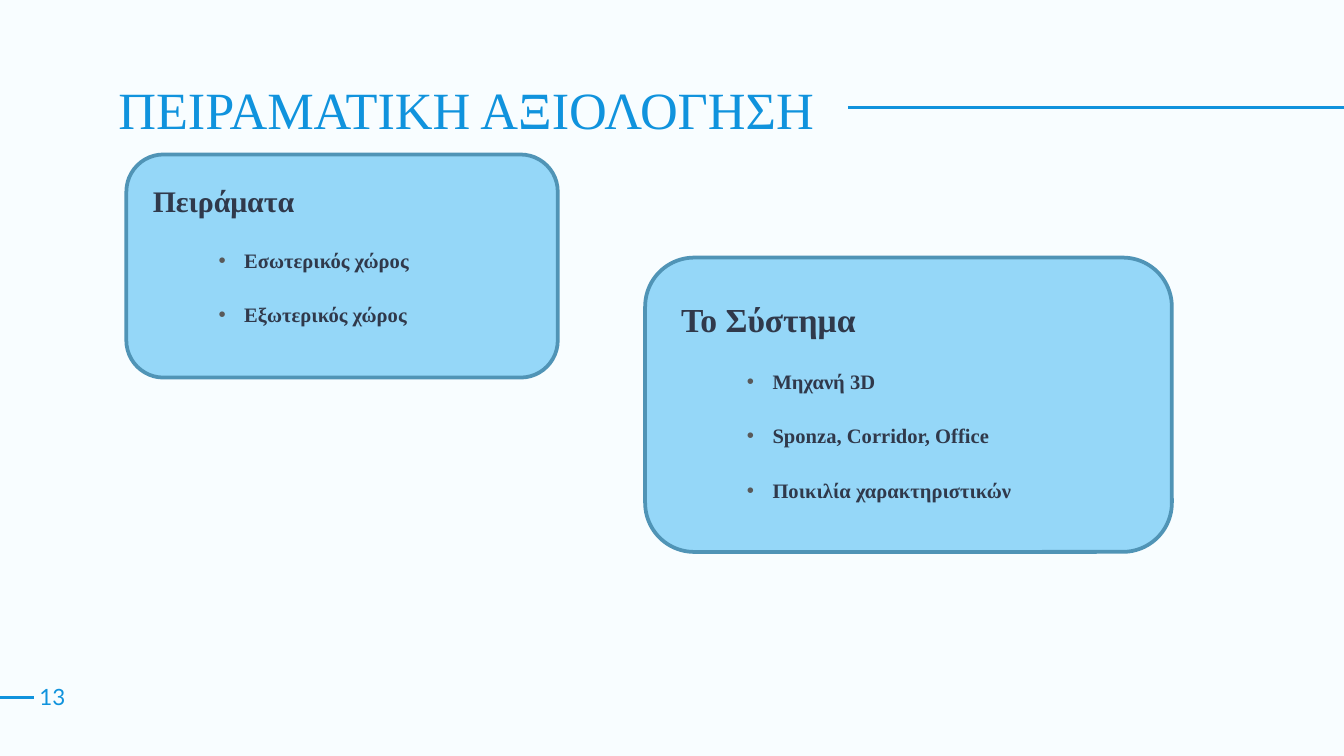
from dataclasses import dataclass

from lxml import etree
from pptx import Presentation
from pptx.dml.color import RGBColor as Rgb
from pptx.enum import shapes, text
from pptx.oxml import ns
from pptx.util import Pt


@dataclass(frozen=True)
class Theme:
    back: Rgb = Rgb.from_string("F8FDFF")
    blue: Rgb = Rgb.from_string("1093DD")
    card: Rgb = Rgb.from_string("6CC8F6")
    edge: Rgb = Rgb.from_string("5094B6")
    ink: Rgb = Rgb.from_string("30394B")
    dot: str = "595959"
    serif: str = "Times New Roman"
    sans: str = "Lato"
    title: int = 28
    item: int = 11
    page: int = 12


theme = Theme()


def write(para, words, size, color, face=theme.serif, bold=False):
    """Add one styled run to a paragraph."""
    run = para.add_run()
    run.text = words
    run.font.size = Pt(size)
    run.font.name = face
    run.font.bold = bold
    run.font.color.rgb = color


def setup(frame, side=7.2):
    """Centre a text frame vertically and set its margins."""
    frame.word_wrap = True
    frame.auto_size = text.MSO_AUTO_SIZE.NONE
    frame.vertical_anchor = text.MSO_ANCHOR.MIDDLE
    frame.margin_left = frame.margin_right = Pt(side)
    frame.margin_top = frame.margin_bottom = Pt(7.2)


deck = Presentation()
deck.slide_width, deck.slide_height = Pt(720), Pt(405)
slide = deck.slides.add_slide(deck.slide_layouts[5])
slide.background.fill.solid()
slide.background.fill.fore_color.rgb = theme.back

# Title
title = slide.shapes.title
title.left, title.top, title.width, title.height = Pt(56.2), Pt(35.3), Pt(607.7), Pt(45.4)
setup(title.text_frame)
para = title.text_frame.paragraphs[0]
para.alignment = text.PP_ALIGN.LEFT
write(para, "ΠΕΙΡΑΜΑΤΙΚΗ ΑΞΙΟΛΟΓΗΣΗ", theme.title, theme.blue)

# Rules beside the page number and the title
for start, end, y in [(0, 18, 373.5), (454.3, 720, 57.5)]:
    rule = slide.shapes.add_connector(
        shapes.MSO_CONNECTOR.STRAIGHT, Pt(start), Pt(y), Pt(end), Pt(y))
    rule.line.color.rgb = theme.blue
    rule.line.width = Pt(1.5)
    etree.SubElement(rule._element.spPr, ns.qn("a:effectLst"))

# Page number
page = slide.shapes.add_textbox(Pt(18.7), Pt(365), Pt(18.7), Pt(16.6)).text_frame
setup(page, 0)
para = page.paragraphs[0]
para.alignment = text.PP_ALIGN.CENTER
write(para, "13", theme.page, theme.blue, theme.sans)

# Cards: frame, text area, heading, heading size, items
cards = [
    ((67.7, 82.8, 231.1, 119.5), (62.6, 82.8, 285.1, 107.3), "Πειράματα", 16,
     ["Εσωτερικός χώρος", "Εξωτερικός χώρος"]),
    ((345.6, 138, 282.2, 157.7), (345.6, 144.7, 305.3, 139.7), "Το Σύστημα", 18,
     ["Μηχανή 3D", "Sponza, Corridor, Office", "Ποικιλία χαρακτηριστικών"]),
]
for area, inner, head, size, items in cards:
    card = slide.shapes.add_shape(shapes.MSO_SHAPE.ROUNDED_RECTANGLE, *map(Pt, area))
    card.shadow.inherit = False
    card.fill.solid()
    card.fill.fore_color.rgb = theme.card
    tint = card._element.spPr.find(ns.qn("a:solidFill"))[0]
    etree.SubElement(tint, ns.qn("a:alpha"), val="70000")
    card.line.color.rgb = theme.edge
    card.line.width = Pt(2)

    frame = slide.shapes.add_textbox(*map(Pt, inner)).text_frame
    setup(frame)
    para = frame.paragraphs[0]
    para._p.get_or_add_pPr().set("marL", str(Pt(12.2)))
    write(para, head, size, theme.ink, bold=True)
    for item in items:
        para = frame.add_paragraph()
        para.level = 1
        para.space_before = Pt(16)
        props = para._p.get_or_add_pPr()
        props.set("marL", str(Pt(61.2)))
        props.set("indent", str(Pt(-13.7)))
        color = etree.SubElement(props, ns.qn("a:buClr"))
        etree.SubElement(color, ns.qn("a:srgbClr"), val=theme.dot)
        etree.SubElement(props, ns.qn("a:buFont"), typeface="Arial")
        etree.SubElement(props, ns.qn("a:buChar"), char="•")
        write(para, item, theme.item, theme.ink, bold=True)

deck.save("out.pptx")
